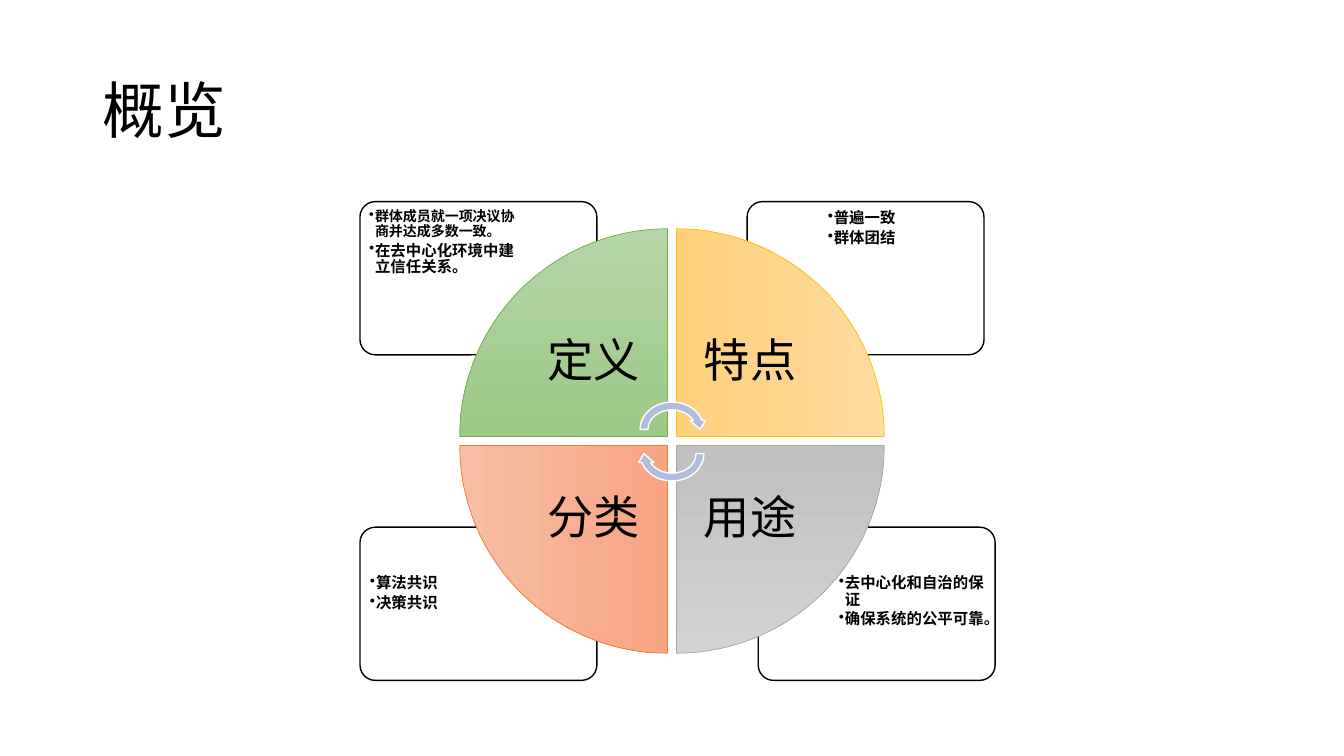
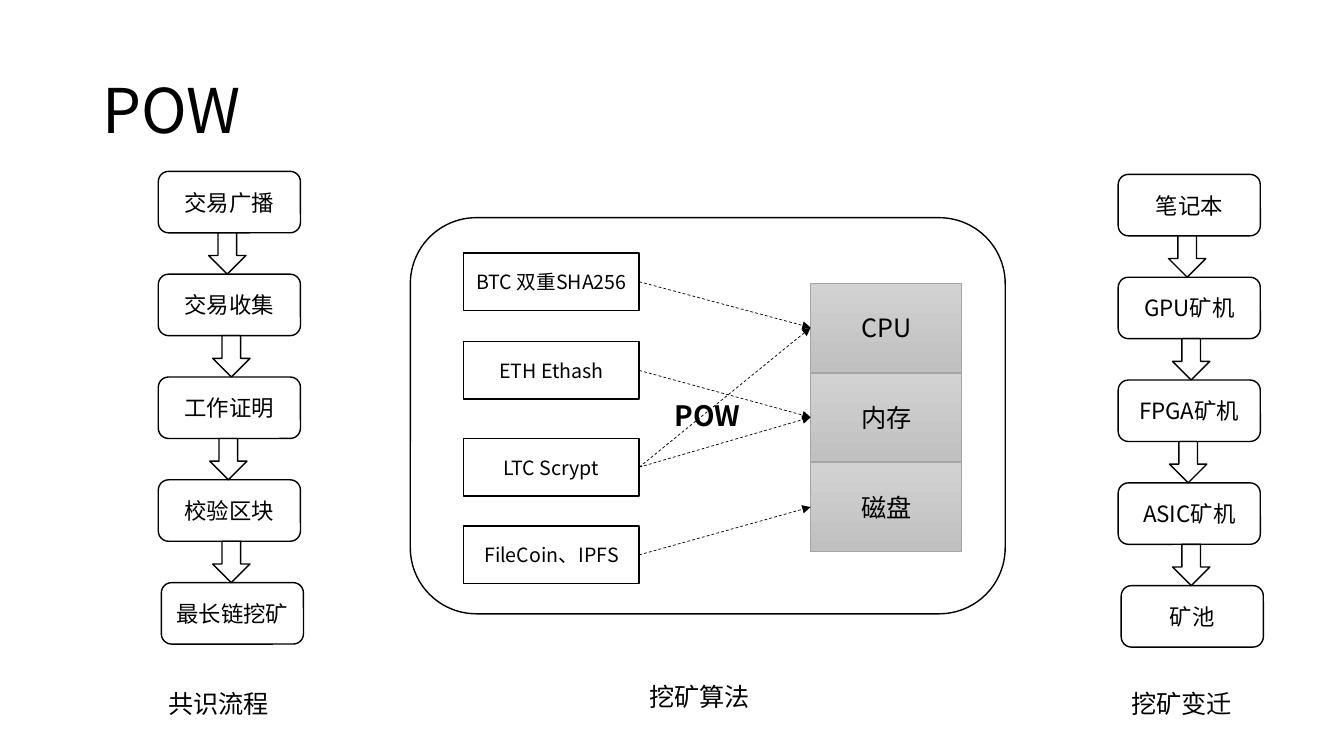
from dataclasses import dataclass

from lxml.etree import SubElement
from pptx import Presentation
from pptx.dml.color import RGBColor
from pptx.enum.dml import MSO_LINE
from pptx.enum.shapes import MSO_CONNECTOR, MSO_SHAPE
from pptx.enum.text import MSO_ANCHOR, PP_ALIGN
from pptx.oxml.ns import qn
from pptx.util import Inches, Pt


@dataclass(frozen=True)
class Theme:
    font: str = "Noto Sans CJK SC"
    ink: str = "000000"
    paper: str = "FFFFFF"
    arrow: str = "B0BCDE"
    # light fill, dark fill, outline
    green: tuple = ("B5D5A7", "9CC987", "70AD47")
    gold: tuple = ("FFDB9E", "FFD07C", "FFC000")
    grey: tuple = ("D2D2D2", "C0C0C0", "A5A5A5")
    orange: tuple = ("F7BDA5", "F8A582", "ED7D31")
    title: int = 44
    quadrant: int = 33
    panel: int = 20
    caption: int = 18
    step: int = 16
    algorithm: int = 14
    note: int = 11
    small_note: int = 10


T = Theme()


def rgb(code):
    return RGBColor.from_string(code)


def write(p, text, size, bold=False):
    r = p.add_run()
    r.text = text
    r.font.size, r.font.bold = Pt(size), bold
    r.font.color.rgb = rgb(T.ink)
    r.font.name = T.font
    SubElement(r.font._element, qn("a:ea")).set("typeface", T.font)


def add_text(s, x, y, w, h, inset=None, anchor=MSO_ANCHOR.TOP):
    tf = s.shapes.add_textbox(Inches(x), Inches(y), Inches(w), Inches(h)).text_frame
    tf.word_wrap, tf.vertical_anchor = True, anchor
    if inset is not None:
        tf.margin_left = tf.margin_right = Inches(inset)
        tf.margin_top = tf.margin_bottom = Inches(inset)
    return tf


def add_box(s, kind, x, y, w, h, fill=T.paper, line=T.ink, width=1):
    """Draw a preset shape; a fill of three colours gives a gradient and its outline."""
    sp = s.shapes.add_shape(kind, Inches(x), Inches(y), Inches(w), Inches(h))
    sp.shadow.inherit = False
    if isinstance(fill, tuple):
        light, dark, line = fill
        width = 0.5
        sp.fill.gradient()
        sp.fill.gradient_angle = 270
        for stop, color in zip(sp.fill.gradient_stops, (light, dark)):
            stop.color.rgb = rgb(color)
    else:
        sp.fill.solid()
        sp.fill.fore_color.rgb = rgb(fill)
    sp.line.color.rgb, sp.line.width = rgb(line), Pt(width)
    return sp


def label(sp, text, size, bold=False):
    p = sp.text_frame.paragraphs[0]
    p.alignment = PP_ALIGN.CENTER
    write(p, text, size, bold)


def add_link(s, start, end):
    """Dashed arrow from the right side of one box to the left side of another."""
    c = s.shapes.add_connector(MSO_CONNECTOR.STRAIGHT, 0, 0, 0, 0)
    c.begin_connect(start, 3)
    c.end_connect(end, 1)
    c.line.color.rgb, c.line.width = rgb(T.ink), Pt(0.5)
    c.line.dash_style = MSO_LINE.DASH
    SubElement(c.line._get_or_add_ln(), qn("a:tailEnd")).set("type", "triangle")
    SubElement(c._element.spPr, qn("a:effectLst"))


def add_slide(prs, title):
    s = prs.slides.add_slide(prs.slide_layouts[6])
    p = add_text(s, 0.92, 0.4, 11.5, 1.45, anchor=MSO_ANCHOR.MIDDLE).paragraphs[0]
    p.line_spacing = 0.9
    write(p, title, T.title)
    return s


def add_note(s, x, y, dx, dy, inset, items):
    """Rounded card with a bulleted list set off by dx, dy."""
    add_box(s, MSO_SHAPE.ROUNDED_RECTANGLE, x, y, 2.35, 1.52).adjustments[0] = 0.1
    tf = add_text(s, x + dx, y + dy, 1.58, 1.08, inset)
    for i, (text, size) in enumerate(items):
        p = tf.add_paragraph() if i else tf.paragraphs[0]
        pPr = p._p.get_or_add_pPr()
        pPr.set("marL", str(Inches(0.06)))
        pPr.set("indent", str(Inches(-0.06)))
        SubElement(pPr, qn("a:buChar")).set("char", "•")
        p.line_spacing, p.space_after = 0.9, Pt(2)
        write(p, text, size, bold=True)


def add_wheel(s, x, y, quadrants):
    """Four wedges, clockwise from top left, with turning arrows at the centre."""
    size, pitch, text_size = 2.06, 2.15, 1.46
    cells = ((0, 0), (1, 0), (1, 1), (0, 1))
    for i, ((col, row), (name, fill)) in enumerate(zip(cells, quadrants)):
        left, top = x + col * pitch, y + row * pitch
        add_box(s, MSO_SHAPE.PIE_WEDGE, left, top, size, size, fill).rotation = 90 * i
        inner = size - text_size
        tf = add_text(s, left + inner * (1 - col), top + inner * (1 - row),
                      text_size, text_size, 0.26, MSO_ANCHOR.MIDDLE)
        p = tf.paragraphs[0]
        p.alignment, p.line_spacing = PP_ALIGN.CENTER, 0.9
        write(p, name, T.quadrant)
    for dy, turn in ((1.68, 0), (1.92, 180)):
        add_box(s, MSO_SHAPE.CIRCULAR_ARROW, x + 1.75, y + dy, 0.71, 0.62,
                T.arrow, T.paper).rotation = turn


def overview_slide(prs):
    s = add_slide(prs, "概览")
    n = T.note
    add_note(s, 7.52, 5.23, 0.74, 0.42, 0.06,
             [("去中心化和自治的保证", n), ("确保系统的公平可靠。", n)])
    add_note(s, 3.57, 5.23, 0.04, 0.42, 0.06, [("算法共识", n), ("决策共识", n)])
    add_note(s, 7.41, 2, 0.74, 0.03, 0.06, [("普遍一致", n), ("群体团结", n)])
    add_note(s, 3.57, 2, 0.04, 0.03, 0.05,
             [("群体成员就一项决议协商并达成多数一致。", T.small_note),
              ("在去中心化环境中建立信任关系。", n)])
    add_wheel(s, 4.56, 2.27, [("定义", T.green), ("特点", T.gold),
                              ("用途", T.grey), ("分类", T.orange)])


def add_algorithms(s, x, y):
    """Panel linking each mining algorithm to the resources it uses."""
    panel = add_box(s, MSO_SHAPE.ROUNDED_RECTANGLE, x, y, 5.9, 3.93)
    label(panel, "POW", T.panel, bold=True)
    algorithms = []
    for dy, name in ((0.35, "BTC 双重SHA256"), (1.23, "ETH Ethash"),
                     (2.19, "LTC Scrypt"), (3.06, "FileCoin、IPFS")):
        sp = add_box(s, MSO_SHAPE.RECTANGLE, x + 0.53, y + dy, 1.74, 0.57)
        label(sp, name, T.algorithm)
        algorithms.append(sp)
    resources = []
    for i, name in enumerate(("CPU", "内存", "磁盘")):
        sp = add_box(s, MSO_SHAPE.RECTANGLE, x + 3.97, y + 0.65 + 0.89 * i,
                     1.5, 0.88, T.grey)
        label(sp, name, T.caption)
        resources.append(sp)
    for a, b in ((0, 0), (1, 1), (2, 1), (2, 0), (3, 2)):
        add_link(s, algorithms[a], resources[b])


def add_steps(s, x, y, names):
    """Column of steps joined by block arrows; the last step sits slightly right."""
    w, h, pitch = 1.41, 0.61, 1.02
    for i, name in enumerate(names):
        shift = 0.03 if i == len(names) - 1 else 0
        sp = add_box(s, MSO_SHAPE.ROUNDED_RECTANGLE, x + shift, y + i * pitch, w, h)
        label(sp, name, T.step)
    for i, dx in enumerate((0.5, 0.54, 0.51, 0.54)):
        add_box(s, MSO_SHAPE.DOWN_ARROW, x + dx, y + h + i * pitch, 0.37, pitch - h)


def pow_slide(prs):
    s = add_slide(prs, "POW")
    add_algorithms(s, 4.07, 2.16)
    add_steps(s, 11.09, 1.73, ("笔记本", "GPU矿机", "FPGA矿机", "ASIC矿机", "矿池"))
    add_steps(s, 1.57, 1.7,
              ("交易广播", "交易收集", "工作证明", "校验区块", "最长链挖矿"))
    for x, y, text in ((1.57, 6.78, "共识流程"), (6.34, 6.71, "挖矿算法"),
                       (11.12, 6.78, "挖矿变迁")):
        write(add_text(s, x, y, 1.53, 0.4).paragraphs[0], text, T.caption)


def main():
    prs = Presentation()
    prs.slide_width, prs.slide_height = Inches(13.33), Inches(7.5)
    overview_slide(prs)
    pow_slide(prs)
    prs.save("out.pptx")


if __name__ == "__main__":
    main()
